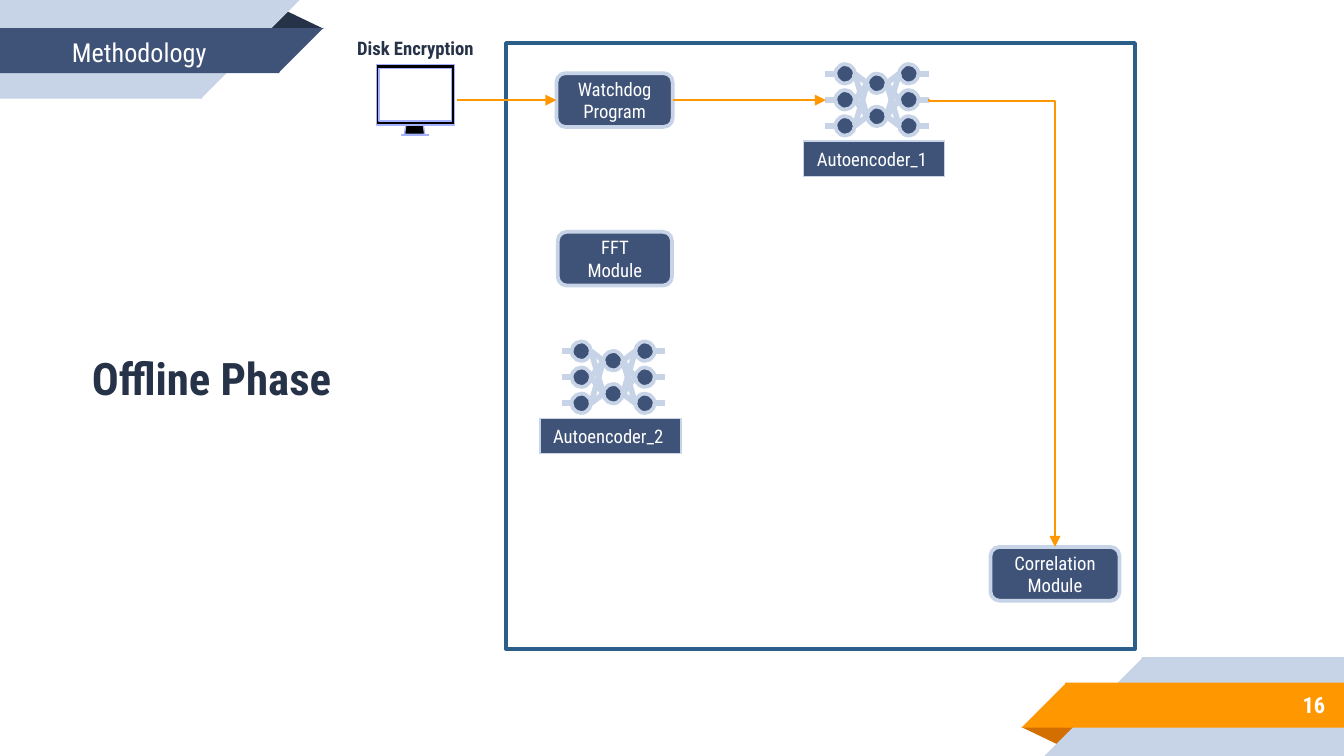
from itertools import product

from lxml import etree
from pptx import Presentation
from pptx.dml.color import RGBColor
from pptx.enum.shapes import MSO_CONNECTOR, MSO_SHAPE
from pptx.enum.text import MSO_ANCHOR, MSO_AUTO_SIZE, PP_ALIGN
from pptx.oxml.ns import qn
from pptx.util import Inches, Pt

RECT, ROUND, OVAL = MSO_SHAPE.RECTANGLE, MSO_SHAPE.ROUNDED_RECTANGLE, MSO_SHAPE.OVAL
CORNER, FOLD = MSO_SHAPE.RIGHT_TRIANGLE, MSO_SHAPE.ISOSCELES_TRIANGLE
STRAIGHT, ELBOW = MSO_CONNECTOR.STRAIGHT, MSO_CONNECTOR.ELBOW
LEFT, CENTER, RIGHT = PP_ALIGN.LEFT, PP_ALIGN.CENTER, PP_ALIGN.RIGHT

FONT = "Roboto Condensed"
WHITE = RGBColor(0xFF, 0xFF, 0xFF)
BLACK = RGBColor(0x00, 0x00, 0x00)
NAVY = RGBColor(0x26, 0x32, 0x48)
BLUE = RGBColor(0x3F, 0x53, 0x78)
PALE = RGBColor(0xC7, 0xD3, 0xE6)
FRAME = RGBColor(0x2B, 0x5F, 0x8A)
LILAC = RGBColor(0xA5, 0xB0, 0xFE)
ORANGE = RGBColor(0xFF, 0x98, 0x00)
RUST = RGBColor(0xD2, 0x6F, 0x00)

# The slide is a grid of 100 columns by 56.25 rows, each a tenth of an inch
COLUMNS, ROWS = 100, 56.25
CELL = Inches(0.1)


def place(shapes, kind, area, fill=None, line=None, weight=2):
    shape = shapes.add_shape(kind, *[round(side * CELL) for side in area])
    shape.shadow.inherit = False
    if fill is None:
        shape.fill.background()
    else:
        shape.fill.solid()
        shape.fill.fore_color.rgb = fill
    if line is None:
        shape.line.fill.background()
    else:
        shape.line.color.rgb = line
        shape.line.width = Pt(weight)
    return shape


def write(box, text, size=10, color=WHITE, bold=False, align=CENTER, wrap=True):
    frame = box.text_frame
    frame.text = text
    frame.word_wrap = wrap
    frame.auto_size = MSO_AUTO_SIZE.NONE
    frame.vertical_anchor = MSO_ANCHOR.MIDDLE
    para = frame.paragraphs[0]
    para.alignment = align
    font = para.runs[0].font
    font.name, font.size, font.bold = FONT, Pt(size), bold
    font.color.rgb = color


deck = Presentation()
deck.slide_width, deck.slide_height = COLUMNS * CELL, round(ROWS * CELL)
page = deck.slides.add_slide(deck.slide_layouts[5])
shapes = page.shapes

# Corner ribbons: kind, area, fill, rotation
ribbons = [
    (FOLD, (76, 54.1, 4.3, 1.4), RUST, 180),
    (RECT, (84.95, 48.9, 15.05, 7.35), PALE, 0),
    (CORNER, (77.7, 48.9, 7.35, 7.35), PALE, 270),
    (RECT, (79.25, 50.8, 20.75, 3.35), ORANGE, 0),
    (CORNER, (76, 50.8, 3.35, 3.35), ORANGE, 270),
    (FOLD, (19.8, 0.75, 4.3, 1.4), NAVY, 0),
    (RECT, (0, 0, 15.05, 7.35), PALE, 0),
    (CORNER, (14.95, 0, 7.35, 7.35), PALE, 90),
    (RECT, (0, 2.1, 20.8, 3.35), BLUE, 0),
    (CORNER, (20.7, 2.1, 3.35, 3.35), BLUE, 90),
]
for kind, area, fill, rotation in ribbons:
    ribbon = place(shapes, kind, area, fill)
    ribbon.rotation = rotation
    if kind == FOLD:
        ribbon.adjustments[0] = 0.32

# Title, lifted above the ribbon
title = shapes.title
title.left, title.top, title.width, title.height = [
    round(side * CELL) for side in (4.35, 2.25, 16.4, 3.2)]
write(title, "Methodology", size=14, align=LEFT)
shapes._spTree.append(title._element)

# Monitor in tenths of a cell: casing, screen opening, neck and foot
contours = [
    [(280, 48), (338, 48), (338, 93), (280, 93)],
    [(282, 51), (282, 90), (336, 90), (336, 51)],
    [(302, 93), (315, 93), (316, 100), (301, 100)],
    [(299, 100), (319, 100), (319, 101), (299, 101)],
]
outline = shapes.build_freeform(*contours[0][0], scale=CELL / 10)
for number, contour in enumerate(contours):
    if number:
        outline.move_to(*contour[0])
    outline.add_line_segments(contour[1:], close=True)
monitor = outline.convert_to_shape()
monitor.shadow.inherit = False
monitor.fill.solid()
monitor.fill.fore_color.rgb = BLACK
monitor.line.color.rgb = LILAC
monitor.line.width = Pt(0.75)

# Frame and modules
place(shapes, RECT, (37.65, 3.2, 46.8, 45.1), line=FRAME)
modules = {}
for name, area in [
    ("Watchdog Program", (41.4, 5.45, 8.65, 4)),
    ("FFT Module", (41.5, 17.25, 8.5, 4)),
    ("Correlation Module", (73.7, 40.7, 9.6, 4)),
]:
    modules[name] = place(shapes, ROUND, area, BLUE, PALE)
    write(modules[name], name)

# Autoencoders: three layers of nodes around a middle line
RADIUS, STUB = 0.72, 0.75
LAYERS = [(1.43, (-1.94, 0, 1.94)), (3.8, (-1.23, 1.23)), (6.17, (-1.94, 0, 1.94))]
links = []
for name, left, middle in [("Autoencoder_1", 61.45, 7.43), ("Autoencoder_2", 41.82, 28.07)]:
    group = shapes.add_group_shape().shapes
    for x, offsets in LAYERS:
        for y in offsets:
            place(group, OVAL, (left + x - RADIUS, middle + y - RADIUS,
                                2 * RADIUS, 2 * RADIUS), BLUE, PALE)
    ends = [(x1 + RADIUS, y1, x2 - RADIUS, y2)
            for (x1, ys1), (x2, ys2) in zip(LAYERS, LAYERS[1:])
            for y1, y2 in product(ys1, ys2)]
    for x, direction in ((LAYERS[0][0], -1), (LAYERS[-1][0], 1)):
        edge = x + direction * RADIUS
        ends += [(edge, y, edge + direction * STUB, y) for y in LAYERS[0][1]]
    links += [(group, STRAIGHT, (left + x1, middle + y1, left + x2, middle + y2), PALE, 3)
              for x1, y1, x2, y2 in ends]
    label = place(group, RECT, (left - 1.65, middle + 3.05, 10.5, 2.65), BLUE, PALE, 0.75)
    write(label, name, align=LEFT)

# Links and arrows; the elbow is laid flat here and turned upright below
links += [
    (shapes, STRAIGHT, (34, 7.45, 41.4, 7.45), ORANGE, 1),
    (shapes, STRAIGHT, (50.05, 7.45, 61.45, 7.45), ORANGE, 1),
    (shapes, ELBOW, (90.45, 19.35, 57.15, 28.75), ORANGE, 1),
]
arrows = []
for parent, kind, ends, color, weight in links:
    link = parent.add_connector(kind, *[round(end * CELL) for end in ends])
    link.line.color.rgb = color
    link.line.width = Pt(weight)
    properties = link._element.spPr
    if color == ORANGE:
        arrows.append(link)
        etree.SubElement(link.line._get_or_add_ln(), qn("a:tailEnd"), type="triangle")
    etree.SubElement(properties, qn("a:effectLst"))

to_watchdog, from_watchdog, to_correlation = arrows
to_watchdog.end_connect(modules["Watchdog Program"], 1)
from_watchdog.begin_connect(modules["Watchdog Program"], 3)
elbow = to_correlation._element.spPr
elbow.find(qn("a:xfrm")).set("rot", "16200000")
bend = elbow.find(qn("a:prstGeom")).find(qn("a:avLst"))
etree.SubElement(bend, qn("a:gd"), name="adj1", fmla="val 300")

# Free-standing texts
for text, area, style in [
    ("Offline Phase", (5.85, 25.6, 20.3, 5),
     dict(size=24, color=NAVY, align=LEFT, wrap=False)),
    ("Disk Encryption", (25.5, 2.2, 10.8, 2.7), dict(color=NAVY, wrap=False)),
    ("16", (83.3, 50.7, 16.3, 3.5), dict(size=12, align=RIGHT)),
]:
    box = shapes.add_textbox(*[round(side * CELL) for side in area])
    write(box, text, bold=True, **style)

deck.save("out.pptx")
